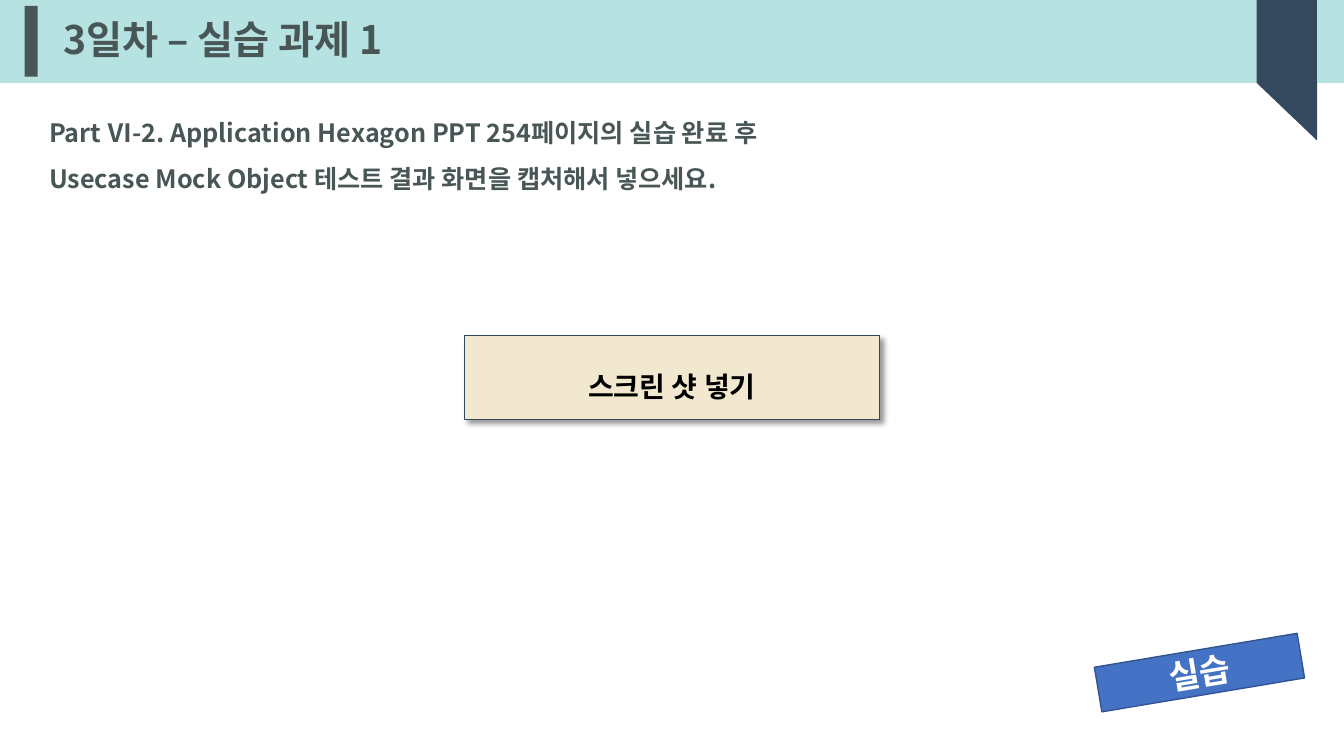
from dataclasses import dataclass
from typing import Optional

from lxml import etree
from pptx import Presentation
from pptx.dml.color import RGBColor
from pptx.enum.shapes import MSO_SHAPE
from pptx.enum.text import MSO_ANCHOR, MSO_AUTO_SIZE, PP_ALIGN
from pptx.oxml.ns import qn
from pptx.util import Cm, Pt

RECTANGLE = MSO_SHAPE.RECTANGLE
RIGHT_TRIANGLE = MSO_SHAPE.RIGHT_TRIANGLE
FOLDED_CORNER = MSO_SHAPE.FOLDED_CORNER
LEFT, CENTER = PP_ALIGN.LEFT, PP_ALIGN.CENTER
TOP, MIDDLE = MSO_ANCHOR.TOP, MSO_ANCHOR.MIDDLE
GROW = MSO_AUTO_SIZE.SHAPE_TO_FIT_TEXT
TITLE_ONLY = 5


@dataclass(frozen=True)
class Theme:
    font: str = "Noto Sans CJK KR"
    band: str = "B7E2E2"
    ink: str = "485656"
    navy: str = "34495E"
    cream: str = "F2E8CF"
    blue: str = "4472C4"
    blue_edge: str = "325491"
    black: str = "000000"
    white: str = "FFFFFF"
    title_size: float = 28
    body_size: float = 18
    box_size: float = 20
    badge_size: float = 24


THEME = Theme()


@dataclass(frozen=True)
class Box:
    left: float
    top: float
    width: float
    height: float


@dataclass(frozen=True)
class Label:
    lines: tuple[str, ...]
    size: float
    color: str
    align: PP_ALIGN = LEFT
    anchor: MSO_ANCHOR = TOP
    spacing: float = 1.0
    wrap: bool = True


@dataclass(frozen=True)
class Panel:
    kind: MSO_SHAPE
    box: Box
    fill: str
    line: Optional[str] = None
    line_width: float = 0.75
    rotation: float = 0
    label: Optional[Label] = None
    shadow: bool = False


SLIDE_WIDTH, SLIDE_HEIGHT = 33.87, 19.05
BAND_HEIGHT = 2.09
RIBBON_LEFT, RIBBON_WIDTH = 31.67, 1.52

DECORATIONS = (
    Panel(RECTANGLE, Box(0, 0, SLIDE_WIDTH, BAND_HEIGHT), THEME.band),
    Panel(RECTANGLE, Box(0.62, 0.15, 0.33, 1.78), THEME.ink),
    Panel(RECTANGLE, Box(RIBBON_LEFT, 0, RIBBON_WIDTH, BAND_HEIGHT), THEME.navy),
    Panel(RIGHT_TRIANGLE, Box(RIBBON_LEFT, BAND_HEIGHT, RIBBON_WIDTH, 1.45),
          THEME.navy, rotation=180),
)
TITLE_BOX = Box(1.35, 0.38, 21.29, 1.35)
TITLE = Label(("3일차 – 실습 과제 1",), THEME.title_size, THEME.ink,
              anchor=MIDDLE, spacing=0.9)
TASK_BOX = Box(0.99, 2.46, 29.82, 2.41)
TASK = Label(("Part Ⅵ-2. Application Hexagon PPT 254페이지의 실습 완료 후",
              "Usecase Mock Object 테스트 결과 화면을 캡처해서 넣으세요."),
             THEME.body_size, THEME.ink, spacing=1.5)
SCREENSHOT = Panel(
    FOLDED_CORNER, Box(11.7, 8.46, 10.47, 2.11), THEME.cream, THEME.navy, shadow=True,
    label=Label(("스크린 샷 넣기",), THEME.box_size, THEME.black, CENTER, MIDDLE, 1.5, False))
BADGE = Panel(
    RECTANGLE, Box(27.64, 16.38, 5.18, 1.14), THEME.blue, THEME.blue_edge, 1, 350.5,
    label=Label(("실습",), THEME.badge_size, THEME.white, CENTER, MIDDLE))


def place(shape, box: Box) -> None:
    shape.left, shape.top = Cm(box.left), Cm(box.top)
    shape.width, shape.height = Cm(box.width), Cm(box.height)


def write(shape, label: Label) -> None:
    frame = shape.text_frame
    frame.word_wrap = label.wrap
    frame.vertical_anchor = label.anchor
    paragraph = frame.paragraphs[0]
    paragraph.alignment = label.align
    paragraph.line_spacing = label.spacing
    for index, line in enumerate(label.lines):
        if index:
            paragraph.add_line_break()
        run = paragraph.add_run()
        run.text = line
        run.font.size = Pt(label.size)
        run.font.bold = True
        run.font.name = THEME.font
        run.font.color.rgb = RGBColor.from_string(label.color)
        etree.SubElement(run.font._element, qn("a:ea"), typeface=THEME.font)


def flatten_fold(shape) -> None:
    geometry = shape._element.spPr.find(qn("a:prstGeom"))
    guides = geometry.find(qn("a:avLst"))
    if guides is None:
        guides = etree.SubElement(geometry, qn("a:avLst"))
    etree.SubElement(guides, qn("a:gd"), name="adj", fmla="val 0")


def cast_shadow(shape) -> None:
    effects = shape._element.spPr.find(qn("a:effectLst"))
    shadow = etree.SubElement(
        effects, qn("a:outerShdw"), blurRad=str(Pt(4)), dist=str(Pt(3)),
        dir="2700000", algn="tl", rotWithShape="0")
    color = etree.SubElement(shadow, qn("a:srgbClr"), val=THEME.black)
    etree.SubElement(color, qn("a:alpha"), val="40000")


def draw_panel(slide, panel: Panel) -> None:
    shape = slide.shapes.add_shape(panel.kind, 0, 0, 0, 0)
    place(shape, panel.box)
    shape.rotation = panel.rotation
    shape.fill.solid()
    shape.fill.fore_color.rgb = RGBColor.from_string(panel.fill)
    if panel.line:
        shape.line.color.rgb = RGBColor.from_string(panel.line)
        shape.line.width = Pt(panel.line_width)
    else:
        shape.line.fill.background()
    shape.shadow.inherit = False
    if panel.kind == FOLDED_CORNER:
        flatten_fold(shape)
    if panel.shadow:
        cast_shadow(shape)
    if panel.label:
        write(shape, panel.label)


def draw_title(slide) -> None:
    title = slide.shapes.title
    slide.shapes._spTree.append(title._element)
    place(title, TITLE_BOX)
    write(title, TITLE)
    title.text_frame.auto_size = GROW


def draw_task(slide) -> None:
    text_box = slide.shapes.add_textbox(0, 0, 0, 0)
    place(text_box, TASK_BOX)
    write(text_box, TASK)
    text_box.text_frame.auto_size = GROW


def main() -> None:
    presentation = Presentation()
    presentation.slide_width = Cm(SLIDE_WIDTH)
    presentation.slide_height = Cm(SLIDE_HEIGHT)
    slide = presentation.slides.add_slide(presentation.slide_layouts[TITLE_ONLY])
    for decoration in DECORATIONS:
        draw_panel(slide, decoration)
    draw_title(slide)
    draw_task(slide)
    draw_panel(slide, SCREENSHOT)
    draw_panel(slide, BADGE)
    presentation.save("out.pptx")


if __name__ == "__main__":
    main()
